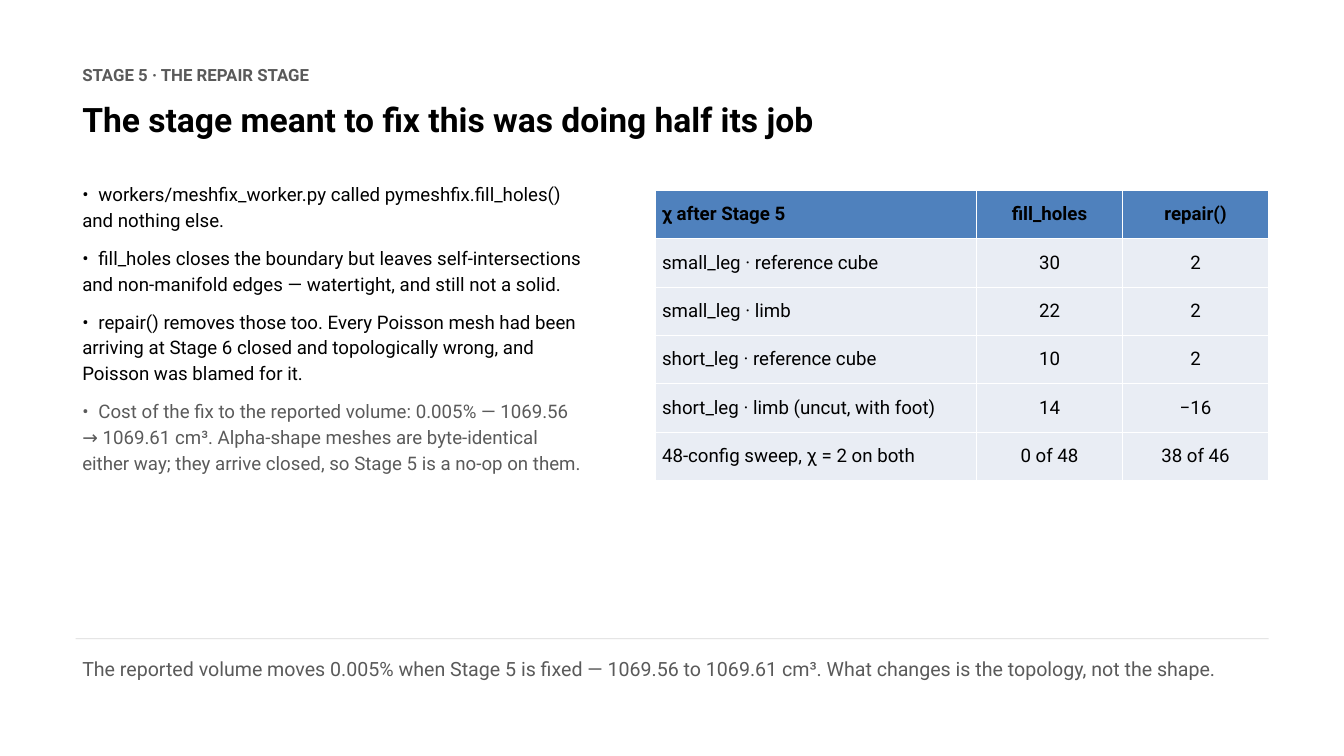
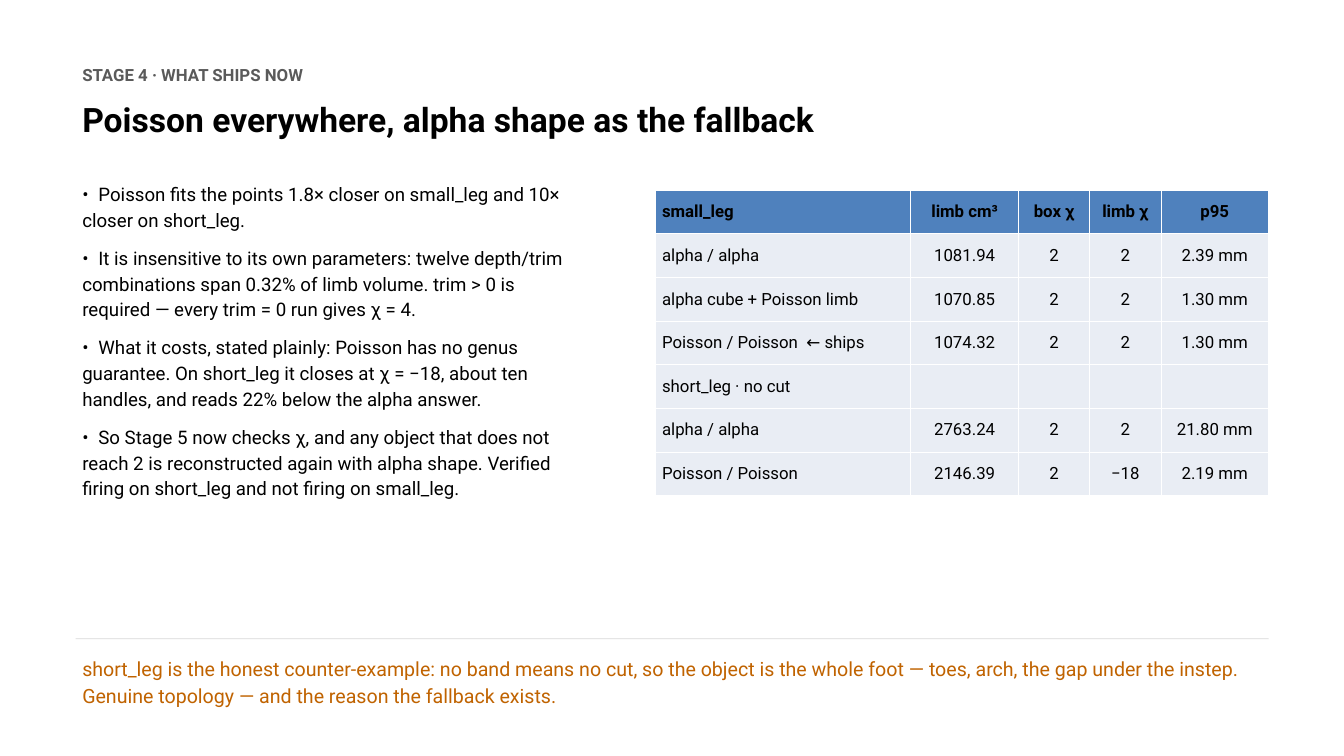
import lxml.etree
import pptx
import pptx.dml.color
import pptx.enum.shapes
import pptx.enum.text
import pptx.oxml.ns
import pptx.util

Cm = pptx.util.Cm
ALIGN = pptx.enum.text.PP_ALIGN
FONT = "Roboto"
BLACK, GREY, AMBER = "000000", "5A5A5A", "C06300"
HEADER_FILL, BODY_FILL, RULE = "4F81BD", "E9EDF4", "D8D8D8"
MARGIN, CONTENT_WIDTH = 2.86, 45.09
TABLE_LEFT, TABLE_TOP, TABLE_WIDTH = 24.77, 7.19, 23.18
BULLET_GAP = 0.61


def rgb(value):
    """Turn a hex string into a colour."""
    return pptx.dml.color.RGBColor.from_string(value)


def add_tab_stop(paragraph, position):
    """Place a left tab stop at the given length."""
    properties = paragraph._p.get_or_add_pPr()
    stops = lxml.etree.SubElement(properties, pptx.oxml.ns.qn("a:tabLst"))
    lxml.etree.SubElement(stops, pptx.oxml.ns.qn("a:tab"), pos=str(int(position)), algn="l")


def write(paragraph, text, size=20, color=BLACK, bold=False, align=ALIGN.LEFT,
          line=None, before=None, tab=None):
    """Write formatted text into a paragraph."""
    if tab is not None:
        add_tab_stop(paragraph, Cm(tab))
    paragraph.alignment = align
    if line is not None:
        paragraph.line_spacing = line
    if before is not None:
        paragraph.space_before = pptx.util.Pt(before)
    run = paragraph.add_run()
    run.text = text
    run.font.name = FONT
    run.font.size = pptx.util.Pt(size)
    run.font.bold = bold
    run.font.color.rgb = rgb(color)


class Deck:
    """Holds the presentation, its shared style and the current slide."""

    def __init__(self):
        """Start an empty widescreen presentation."""
        self.presentation = pptx.Presentation()
        self.presentation.slide_width = Cm(50.8)
        self.presentation.slide_height = Cm(28.58)
        self.slide = None

    def new_slide(self, stage, title):
        """Add a slide with its stage label and title."""
        self.slide = self.presentation.slides.add_slide(self.presentation.slide_layouts[6])
        self.text_box(2.22, CONTENT_WIDTH, 3.89, [
            (stage, dict(size=18, color=GREY, bold=True)),
            (title, dict(size=36, bold=True, before=8)),
        ])

    def text_box(self, top, width, height, lines):
        """Add a text box at the left margin from pairs of text and format."""
        box = self.slide.shapes.add_textbox(Cm(MARGIN), Cm(top), Cm(width), Cm(height))
        frame = box.text_frame
        frame.word_wrap = True
        frame.auto_size = pptx.enum.text.MSO_AUTO_SIZE.SHAPE_TO_FIT_TEXT
        for index, (text, style) in enumerate(lines):
            paragraph = frame.add_paragraph() if index else frame.paragraphs[0]
            write(paragraph, text, line=1.15, **style)

    def points(self, texts, muted=()):
        """Add the bulleted points, greying those whose index is muted."""
        self.text_box(6.67, 19.46, 19.96, [
            ("•\t" + text, dict(color=GREY if index in muted else BLACK,
                                before=13 if index else None, tab=BULLET_GAP))
            for index, text in enumerate(texts)
        ])

    def table(self, rows, shares, row_height, size):
        """Add a table with a header row and proportional column widths."""
        table = self.slide.shapes.add_table(
            len(rows), len(shares), Cm(TABLE_LEFT), Cm(TABLE_TOP),
            Cm(TABLE_WIDTH), Cm(row_height * len(rows))).table
        table.horz_banding = False
        for column, share in zip(table.columns, shares):
            column.width = Cm(TABLE_WIDTH * share / sum(shares))
        for r, row in enumerate(rows):
            table.rows[r].height = Cm(row_height)
            for c in range(len(shares)):
                cell = table.cell(r, c)
                cell.fill.solid()
                cell.fill.fore_color.rgb = rgb(BODY_FILL if r else HEADER_FILL)
                cell.vertical_anchor = pptx.enum.text.MSO_ANCHOR.MIDDLE
                if c < len(row):
                    write(cell.text_frame.paragraphs[0], row[c], size=size, bold=r == 0,
                          align=ALIGN.CENTER if c else ALIGN.LEFT)

    def takeaway(self, text, color=GREY):
        """Add the closing remark under a thin rule."""
        rule = self.slide.shapes.add_shape(
            pptx.enum.shapes.MSO_SHAPE.RECTANGLE,
            Cm(MARGIN), Cm(24.13), Cm(CONTENT_WIDTH), Cm(0.03))
        rule.shadow.inherit = False
        rule.fill.solid()
        rule.fill.fore_color.rgb = rgb(RULE)
        rule.line.fill.background()
        self.text_box(24.56, CONTENT_WIDTH, 2.49, [(text, dict(size=21, color=color))])


def repair_slide(deck):
    """Build the slide on the repair stage."""
    deck.new_slide("STAGE 5 · THE REPAIR STAGE",
                   "The stage meant to fix this was doing half its job")
    deck.points([
        "workers/meshfix_worker.py called pymeshfix.fill_holes() and nothing else.",
        "fill_holes closes the boundary but leaves self-intersections and non-manifold "
        "edges — watertight, and still not a solid.",
        "repair() removes those too. Every Poisson mesh had been arriving at Stage 6 closed "
        "and topologically wrong, and Poisson was blamed for it.",
        "Cost of the fix to the reported volume: 0.005% — 1069.56 → 1069.61 cm³. Alpha-shape "
        "meshes are byte-identical either way; they arrive closed, so Stage 5 is a no-op on them.",
    ], muted=[3])
    deck.table([
        ["χ after Stage 5", "fill_holes", "repair()"],
        ["small_leg · reference cube", "30", "2"],
        ["small_leg · limb", "22", "2"],
        ["short_leg · reference cube", "10", "2"],
        ["short_leg · limb (uncut, with foot)", "14", "−16"],
        ["48-config sweep, χ = 2 on both", "0 of 48", "38 of 46"],
    ], shares=[11, 5, 5], row_height=1.83, size=20)
    deck.takeaway("The reported volume moves 0.005% when Stage 5 is fixed — 1069.56 to "
                  "1069.61 cm³. What changes is the topology, not the shape.")


def fallback_slide(deck):
    """Build the slide on the shipped method and its fallback."""
    deck.new_slide("STAGE 4 · WHAT SHIPS NOW",
                   "Poisson everywhere, alpha shape as the fallback")
    deck.points([
        "Poisson fits the points 1.8× closer on small_leg and 10× closer on short_leg.",
        "It is insensitive to its own parameters: twelve depth/trim combinations span 0.32% "
        "of limb volume. trim > 0 is required — every trim = 0 run gives χ = 4.",
        "What it costs, stated plainly: Poisson has no genus guarantee. On short_leg it closes "
        "at χ = −18, about ten handles, and reads 22% below the alpha answer.",
        "So Stage 5 now checks χ, and any object that does not reach 2 is reconstructed again "
        "with alpha shape. Verified firing on short_leg and not firing on small_leg.",
    ])
    deck.table([
        ["small_leg", "limb cm³", "box χ", "limb χ", "p95"],
        ["alpha / alpha", "1081.94", "2", "2", "2.39 mm"],
        ["alpha cube + Poisson limb", "1070.85", "2", "2", "1.30 mm"],
        ["Poisson / Poisson  ← ships", "1074.32", "2", "2", "1.30 mm"],
        ["short_leg · no cut"],
        ["alpha / alpha", "2763.24", "2", "2", "21.80 mm"],
        ["Poisson / Poisson", "2146.39", "2", "−18", "2.19 mm"],
    ], shares=[3.8, 1.6, 1.06, 1.06, 1.6], row_height=1.65, size=18)
    deck.takeaway("short_leg is the honest counter-example: no band means no cut, so the object "
                  "is the whole foot — toes, arch, the gap under the instep. Genuine topology — "
                  "and the reason the fallback exists.", color=AMBER)


def main():
    """Build and save the slides."""
    deck = Deck()
    repair_slide(deck)
    fallback_slide(deck)
    deck.presentation.save("out.pptx")


if __name__ == "__main__":
    main()
